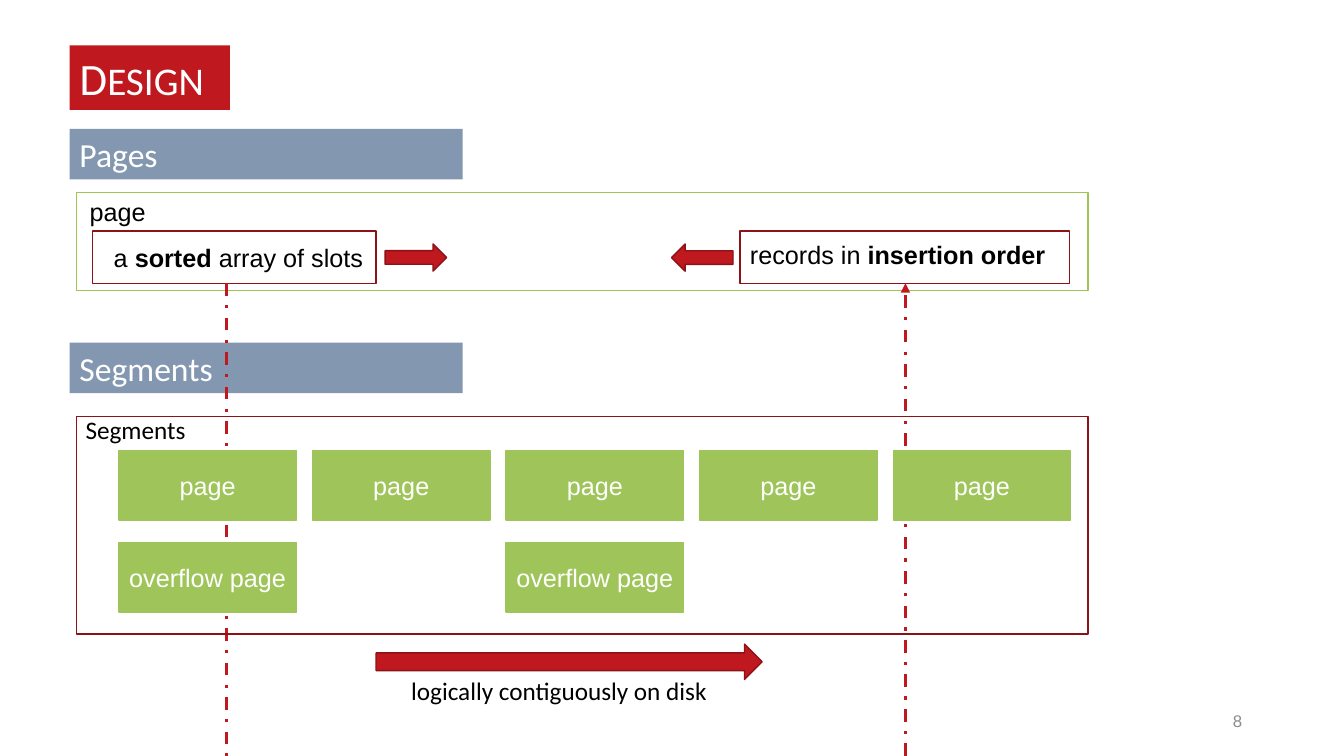
from lxml import etree
from pptx import Presentation
from pptx.dml.color import RGBColor
from pptx.enum.dml import MSO_LINE
from pptx.enum.shapes import MSO_CONNECTOR, MSO_SHAPE
from pptx.enum.text import MSO_ANCHOR, MSO_AUTO_SIZE, PP_ALIGN
from pptx.oxml.ns import qn
from pptx.util import Inches, Pt

RECTANGLE, RIGHT_ARROW = MSO_SHAPE.RECTANGLE, MSO_SHAPE.RIGHT_ARROW
STRAIGHT, DASH_DOT = MSO_CONNECTOR.STRAIGHT, MSO_LINE.DASH_DOT
LEFT, CENTER, RIGHT = PP_ALIGN.LEFT, PP_ALIGN.CENTER, PP_ALIGN.RIGHT
TOP, MIDDLE = MSO_ANCHOR.TOP, MSO_ANCHOR.MIDDLE
NO_AUTOFIT = MSO_AUTO_SIZE.NONE
TITLE_ONLY = 5

COLORS = {
    "red": "BF181F", "dark red": "8D1217", "green": "9FC55A",
    "slate": "8497B0", "white": "FFFFFF", "black": "000000", "gray": "8C8C8C",
}


def color(name):
    return RGBColor.from_string(COLORS[name])


class DesignSlide:
    heading_font = "Calibri"
    text_font = "Arial"

    def __init__(self, deck):
        self.page = deck.slides.add_slide(deck.slide_layouts[TITLE_ONLY])
        self.shapes = self.page.shapes

    def set_text(self, box, spans, size, font, ink, align=LEFT, anchor=TOP):
        """Fill a shape with one paragraph of (text, bold) spans."""
        frame = box.text_frame
        frame.word_wrap = True
        frame.auto_size = NO_AUTOFIT
        frame.vertical_anchor = anchor
        para = frame.paragraphs[0]
        para.alignment = align
        para.font.size = Pt(size)
        para.font.name = font
        para.font.color.rgb = color(ink)
        for text, bold in spans:
            span = para.add_run()
            span.text = text
            if bold:
                span.font.bold = True
        return para

    def title(self, initial, rest, left, top, width, height):
        box = self.shapes.title
        box.left, box.top = Inches(left), Inches(top)
        box.width, box.height = Inches(width), Inches(height)
        box.fill.solid()
        box.fill.fore_color.rgb = color("red")
        spans = [(initial, False), (rest, False)]
        para = self.set_text(box, spans, 32, self.heading_font, "white")
        para.runs[1].font.size = Pt(28)

    def shape(self, left, top, width, height, fill=None, line=None, kind=RECTANGLE):
        box = self.shapes.add_shape(
            kind, Inches(left), Inches(top), Inches(width), Inches(height))
        box.shadow.inherit = False
        if fill:
            box.fill.solid()
            box.fill.fore_color.rgb = color(fill)
        else:
            box.fill.background()
        if line:
            box.line.color.rgb = color(line)
            box.line.width = Pt(1)
        else:
            box.line.fill.background()
        return box

    def heading(self, text, top):
        bar = self.shape(0.69, top, 3.9, 0.5, fill="slate")
        self.set_text(bar, [(text, False)], 24, self.heading_font, "white")

    def label(self, spans, left, top, width, font=text_font, size=18,
              ink="black", align=LEFT, anchor=TOP):
        box = self.shapes.add_textbox(
            Inches(left), Inches(top), Inches(width), Inches(0.4))
        self.set_text(box, spans, size, font, ink, align, anchor)

    def tile(self, text, left, top):
        box = self.shape(left, top, 1.76, 0.69, fill="green", line="green")
        box.text_frame.margin_left = box.text_frame.margin_right = Inches(0.05)
        self.set_text(box, [(text, False)], 18, self.text_font, "white", CENTER, MIDDLE)

    def arrow(self, left, top, width, height, rotation=0):
        block = self.shape(left, top, width, height, "red", "dark red", RIGHT_ARROW)
        block.rotation = rotation

    def dashed_line(self, x, start, end, arrowhead=False):
        link = self.shapes.add_connector(
            STRAIGHT, Inches(x), Inches(start), Inches(x), Inches(end))
        link.line.color.rgb = color("red")
        link.line.width = Pt(2.25)
        link.line.dash_style = DASH_DOT
        properties = link._element.spPr
        if arrowhead:
            etree.SubElement(properties.get_or_add_ln(), qn("a:tailEnd"), type="triangle")
        etree.SubElement(properties, qn("a:effectLst"))


def main():
    deck = Presentation()
    deck.slide_width, deck.slide_height = Inches(13.33), Inches(7.5)
    slide = DesignSlide(deck)

    slide.title("D", "ESIGN", 0.69, 0.45, 1.59, 0.64)
    slide.heading("Pages", 1.28)
    slide.heading("Segments", 3.4)

    # Layout inside one page
    slide.shape(0.76, 1.91, 10.03, 0.97, line="green")
    for left, width in ((0.92, 2.81), (7.34, 3.27)):
        slide.shape(left, 2.29, width, 0.52, line="dark red")
    slide.label([("page", False)], 0.79, 1.9, 1)
    slide.label([("records in ", False), ("insertion order", True)], 7.34, 2.33, 3.27)
    slide.label([("a ", False), ("sorted", True), (" array of slots", False)],
                1.03, 2.35, 3.27)
    slide.arrow(3.82, 2.42, 0.61, 0.27)
    slide.arrow(6.66, 2.42, 0.61, 0.27, rotation=180)

    # Link from slots to records
    slide.dashed_line(2.25, 2.81, 7.5)
    slide.dashed_line(8.98, 7.5, 2.81, arrowhead=True)

    # Pages of a segment
    slide.shape(0.76, 4.13, 10.03, 2.16, line="dark red")
    slide.label([("Segments", False)], 0.75, 4.06, 1.37, slide.heading_font)
    columns = [1.18 + 1.92 * index for index in range(5)]
    for left in columns:
        slide.tile("page", left, 4.47)
    for left in (columns[0], columns[2]):
        slide.tile("overflow page", left, 5.38)
    slide.arrow(3.73, 6.39, 3.83, 0.35)
    slide.label([("logically contiguously on disk", False)],
                3.98, 6.65, 4.03, slide.heading_font)

    slide.label([("8", False)], 9.42, 6.95, 3, size=12, ink="gray",
                align=RIGHT, anchor=MIDDLE)
    deck.save("out.pptx")


if __name__ == "__main__":
    main()
